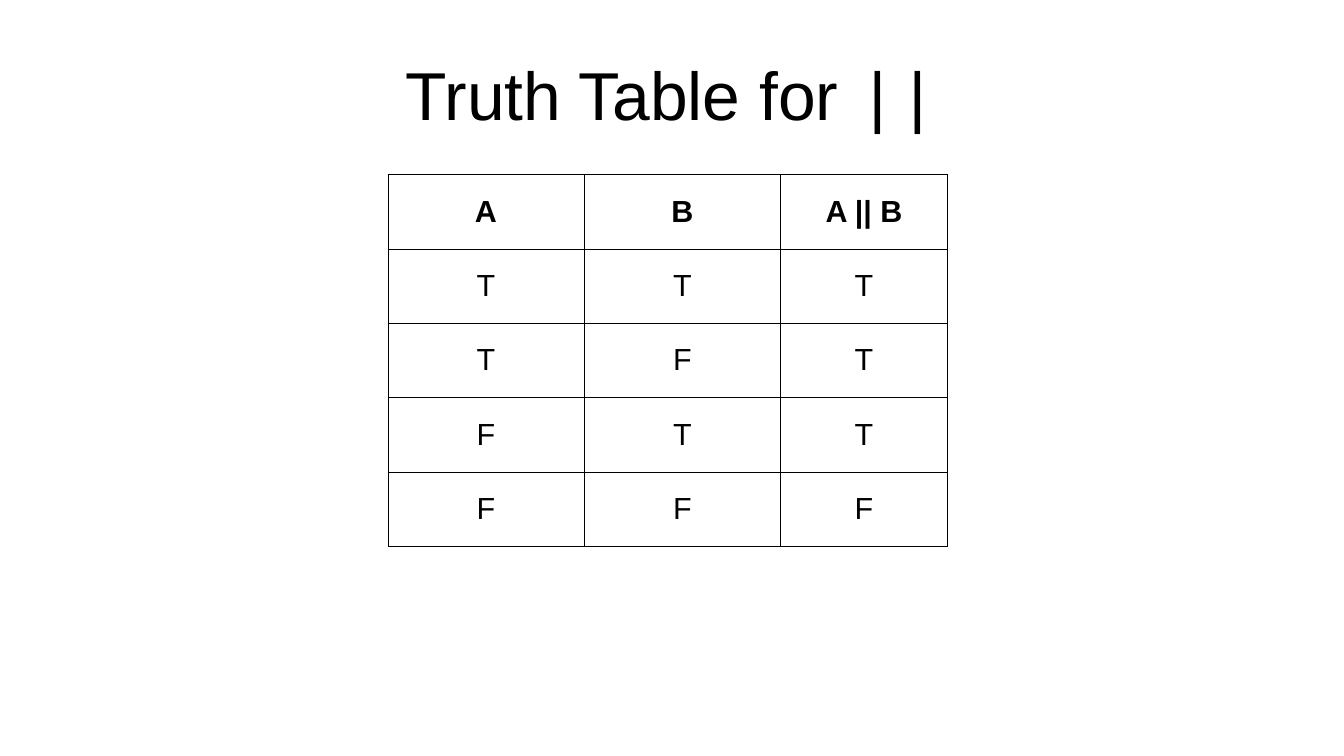
from dataclasses import dataclass
from itertools import product
from typing import Any

from pptx import Presentation
from pptx.dml.color import RGBColor
from pptx.enum.text import MSO_ANCHOR as Anchor, MSO_AUTO_SIZE as AutoSize, PP_ALIGN as Align
from pptx.oxml import parse_xml
from pptx.oxml.ns import nsdecls
from pptx.util import Inches, Pt


def color(value):
    return RGBColor.from_string(value)


def add_text(paragraph, text, *, size, font, ink, bold=False):
    paragraph.alignment = Align.CENTER
    run = paragraph.add_run()
    run.text = text
    run.font.size = Pt(size)
    run.font.name = font
    run.font.bold = bold
    run.font.color.rgb = color(ink)


@dataclass
class TruthTableSlide:
    """Holds the style and the current slide, and adds elements to it."""

    slide: Any
    font: str = "Arial"
    code_font: str = "Courier New"
    ink: str = "000000"
    paper: str = "FFFFFF"
    border_width: float = 0.06

    def background(self):
        fill = self.slide.background.fill
        fill.solid()
        fill.fore_color.rgb = color(self.paper)

    def title(self, text, operator, left, top, width, height):
        shape = self.slide.shapes.title
        shape.left, shape.top = Inches(left), Inches(top)
        shape.width, shape.height = Inches(width), Inches(height)
        frame = shape.text_frame
        frame.margin_left = frame.margin_right = 0
        frame.margin_top = frame.margin_bottom = 0
        frame.vertical_anchor = Anchor.MIDDLE
        frame.word_wrap = True
        frame.auto_size = AutoSize.NONE
        paragraph = frame.paragraphs[0]
        add_text(paragraph, text, size=40, font=self.font, ink=self.ink)
        add_text(paragraph, operator, size=40, font=self.code_font, ink=self.ink)

    def border(self, cell):
        properties = cell._tc.get_or_add_tcPr()
        for side in ("lnL", "lnR", "lnT", "lnB"):
            properties.append(parse_xml(
                f'<a:{side} {nsdecls("a")} w="{Pt(self.border_width)}">'
                f'<a:solidFill><a:srgbClr val="{self.ink}"/></a:solidFill></a:{side}>'
            ))

    def table(self, rows, left, top, column_widths, row_height):
        table = self.slide.shapes.add_table(
            len(rows), len(column_widths), Inches(left), Inches(top),
            Inches(sum(column_widths)), Inches(row_height * len(rows)),
        ).table
        table.first_row = table.horz_banding = False
        for column, width in zip(table.columns, column_widths):
            column.width = Inches(width)
        for index, (row, values) in enumerate(zip(table.rows, rows)):
            row.height = Inches(row_height)
            for cell, value in zip(row.cells, values):
                self.border(cell)
                cell.fill.background()
                cell.vertical_anchor = Anchor.MIDDLE
                add_text(cell.text_frame.paragraphs[0], value, size=18,
                         font=self.font, ink=self.ink, bold=index == 0)


def main():
    presentation = Presentation()
    presentation.slide_width = Inches(11.02)
    presentation.slide_height = Inches(6.2)
    page = TruthTableSlide(presentation.slides.add_slide(presentation.slide_layouts[5]))
    page.background()
    page.title("Truth Table for ", "||", 0.55, 0.25, 9.92, 1.04)
    header = ("A", "B", "A || B")
    outcomes = [(a, b, "T" if "T" in (a, b) else "F") for a, b in product("TF", repeat=2)]
    page.table([header, *outcomes], 3.18, 1.43, (1.61, 1.61, 1.37), 0.61)
    presentation.save("out.pptx")


if __name__ == "__main__":
    main()
